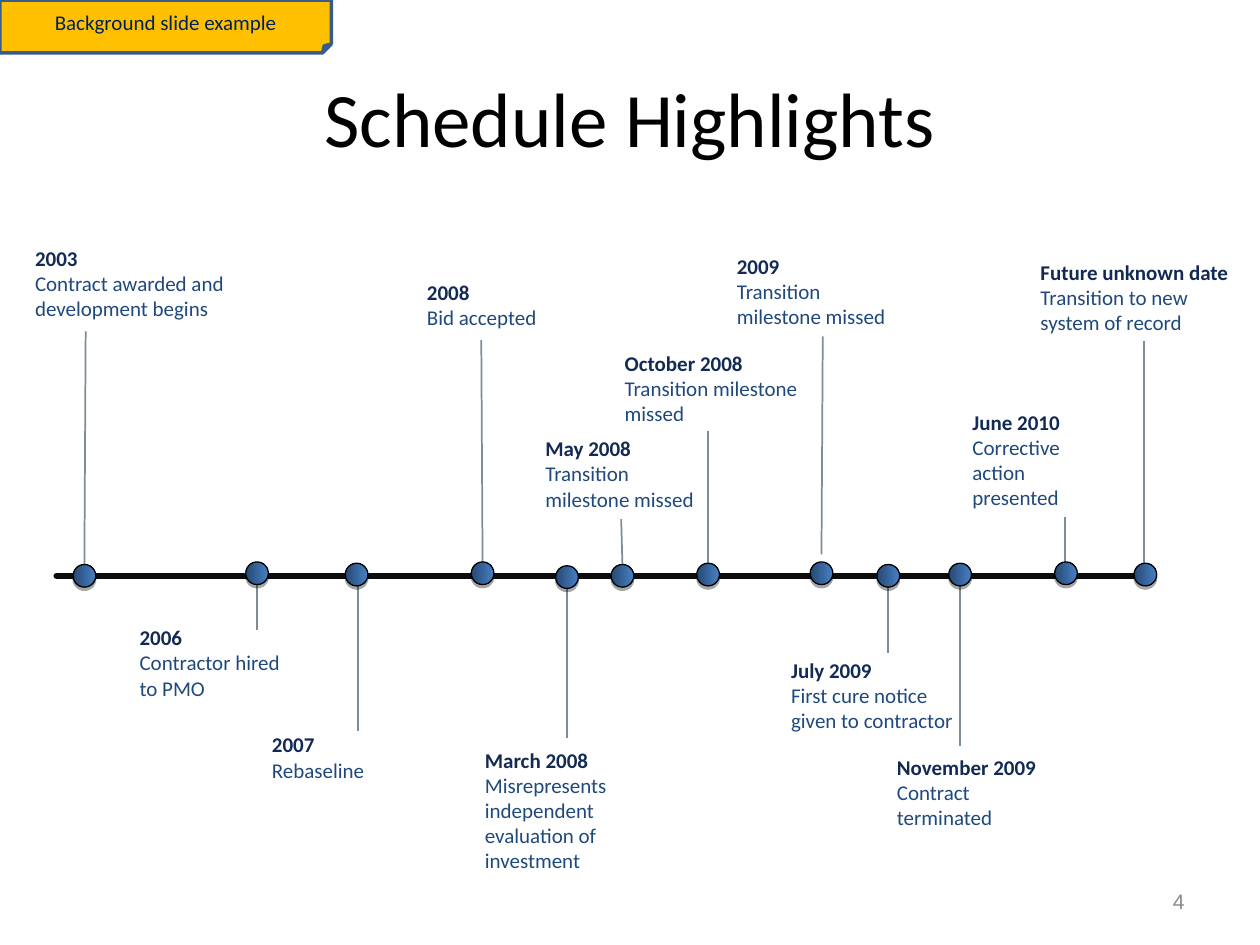
from lxml.etree import SubElement
from pptx import Presentation
from pptx.dml.color import RGBColor
from pptx.enum.shapes import MSO_CONNECTOR as Connector, MSO_SHAPE as Shape
from pptx.enum.text import MSO_ANCHOR as Anchor, MSO_AUTO_SIZE as AutoSize, PP_ALIGN as Align
from pptx.oxml.ns import qn
from pptx.util import Pt

PX = 9144  # 100 px to the inch
DOT_SIZE = 18

# date, description, label box, dot corner, leader start, leader end
EVENTS = [
    ("2003", "Contract awarded and development begins",
     (18, 190, 217, 70), (58, 448), (67, 448), (68, 263)),
    ("2006", "Contractor hired to PMO",
     (101, 491, 144, 70), (195, 446), (204, 463), (204, 500)),
    ("2007", "Rebaseline",
     (206, 576, 135, 50), (274, 447), (284, 465), (284, 580)),
    ("2008", "Bid accepted",
     (329, 217, 182, 50), (374, 446), (383, 446), (382, 270)),
    ("March 2008", "Misrepresents independent evaluation of investment",
     (375, 588, 172, 110), (441, 449), (450, 467), (450, 586)),
    ("May 2008", "Transition milestone missed",
     (423, 341, 149, 70), (485, 448), (494, 448), (493, 412)),
    ("October 2008", "Transition milestone missed",
     (486, 273, 170, 70), (553, 447), (562, 448), (562, 342)),
    ("2009", "Transition milestone missed",
     (575, 196, 156, 70), (643, 446), (652, 440), (653, 267)),
    ("July 2009", "First cure notice given to contractor",
     (618, 517, 155, 70), (696, 448), (705, 465), (705, 518)),
    ("November 2009", "Contract terminated",
     (702, 594, 155, 70), (753, 447), (762, 464), (762, 592)),
    ("June 2010", "Corrective action presented",
     (762, 320, 130, 90), (837, 446), (845, 446), (845, 410)),
    ("Future unknown date", "Transition to new system of record",
     (816, 201, 184, 70), (900, 447), (908, 447), (908, 271)),
]


def color(hex_string):
    return RGBColor.from_string(hex_string)


def emu(*lengths):
    return [length * PX for length in lengths]


class TimelineSlide:
    FRAME = {"margin_left": 10 * PX, "margin_right": 10 * PX,
             "margin_top": 5 * PX, "margin_bottom": 5 * PX, "word_wrap": True}
    DATE = {"size": Pt(12), "name": "Calibri", "bold": True, "color": "132B54"}
    DESCRIPTION = {**DATE, "bold": False, "color": "1F497D"}
    TITLE = {"size": Pt(44), "name": "Calibri", "color": "000000"}
    PAGE = {"size": Pt(12), "name": "Arial", "color": "898989"}
    BANNER = {"size": Pt(12), "name": "Calibri", "color": "002060"}

    def __init__(self, slide):
        self.shapes = slide.shapes

    def fill_frame(self, frame, lines, align=Align.LEFT, **frame_format):
        """Fill a text frame with (text, font format) paragraphs."""
        for key, value in {**self.FRAME, **frame_format}.items():
            setattr(frame, key, value)
        for index, (words, style) in enumerate(lines):
            paragraph = frame.add_paragraph() if index else frame.paragraphs[0]
            paragraph.alignment = align
            run = paragraph.add_run()
            run.text = words
            for key, value in style.items():
                if key == "color":
                    run.font.color.rgb = color(value)
                else:
                    setattr(run.font, key, value)

    def text(self, box, lines, **layout):
        self.fill_frame(self.shapes.add_textbox(*emu(*box)).text_frame, lines, **layout)

    def line(self, start, end, stroke, width):
        connector = self.shapes.add_connector(Connector.STRAIGHT, *emu(*start, *end))
        connector.line.color.rgb = color(stroke)
        connector.line.width = Pt(width)
        SubElement(connector.element.spPr, qn("a:effectLst"))
        return connector

    def axis(self, start, end):
        """Draw the thick time axis with round ends."""
        axis = self.line(start, end, "0D0D0D", 3.75)
        axis.element.spPr.find(qn("a:ln")).set("cap", "rnd")

    def shape(self, kind, box, stroke, width):
        shape = self.shapes.add_shape(kind, *emu(*box))
        shape.shadow.inherit = False
        shape.line.color.rgb = color(stroke)
        shape.line.width = Pt(width)
        return shape

    def dot(self, corner):
        """Draw a gradient marker with a short shadow below it."""
        dot = self.shape(Shape.OVAL, (*corner, DOT_SIZE, DOT_SIZE), "000000", 0.75)
        dot.fill.gradient()
        dot.fill.gradient_angle = 0
        for stop, position, tone in zip(dot.fill.gradient_stops, (0, 1), ("254872", "4780C5")):
            stop.position = position
            stop.color.rgb = color(tone)
        effects = dot.element.spPr.find(qn("a:effectLst"))
        shadow = SubElement(effects, qn("a:outerShdw"), blurRad="0", dist=str(int(Pt(1.8))),
                            dir="5400000", rotWithShape="0")
        shade = SubElement(shadow, qn("a:srgbClr"), val="000000")
        SubElement(shade, qn("a:alpha"), val="35000")

    def banner(self, box, words):
        banner = self.shape(Shape.FOLDED_CORNER, box, "385D8A", 2)
        banner.fill.solid()
        banner.fill.fore_color.rgb = color("FFC000")
        self.fill_frame(banner.text_frame, [(words, self.BANNER)], Align.CENTER,
                        vertical_anchor=Anchor.MIDDLE)


def main():
    deck = Presentation()
    deck.slide_width, deck.slide_height = emu(1000, 750)
    schedule = TimelineSlide(deck.slides.add_slide(deck.slide_layouts[6]))

    schedule.text((50, 30, 900, 125), [("Schedule Highlights", schedule.TITLE)],
                  align=Align.CENTER, vertical_anchor=Anchor.MIDDLE)
    schedule.text((717, 695, 233, 40), [("4", schedule.PAGE)],
                  align=Align.RIGHT, vertical_anchor=Anchor.MIDDLE)
    schedule.axis((45, 457), (915, 457))
    for date, description, box, corner, start, end in EVENTS:
        schedule.line(start, end, "7D8D98", 1)
        schedule.dot(corner)
        schedule.text(box, [(date, schedule.DATE), (description, schedule.DESCRIPTION)],
                      auto_size=AutoSize.SHAPE_TO_FIT_TEXT)
    schedule.banner((0, 0, 263, 42), "Background slide example")

    deck.save("out.pptx")


if __name__ == "__main__":
    main()
